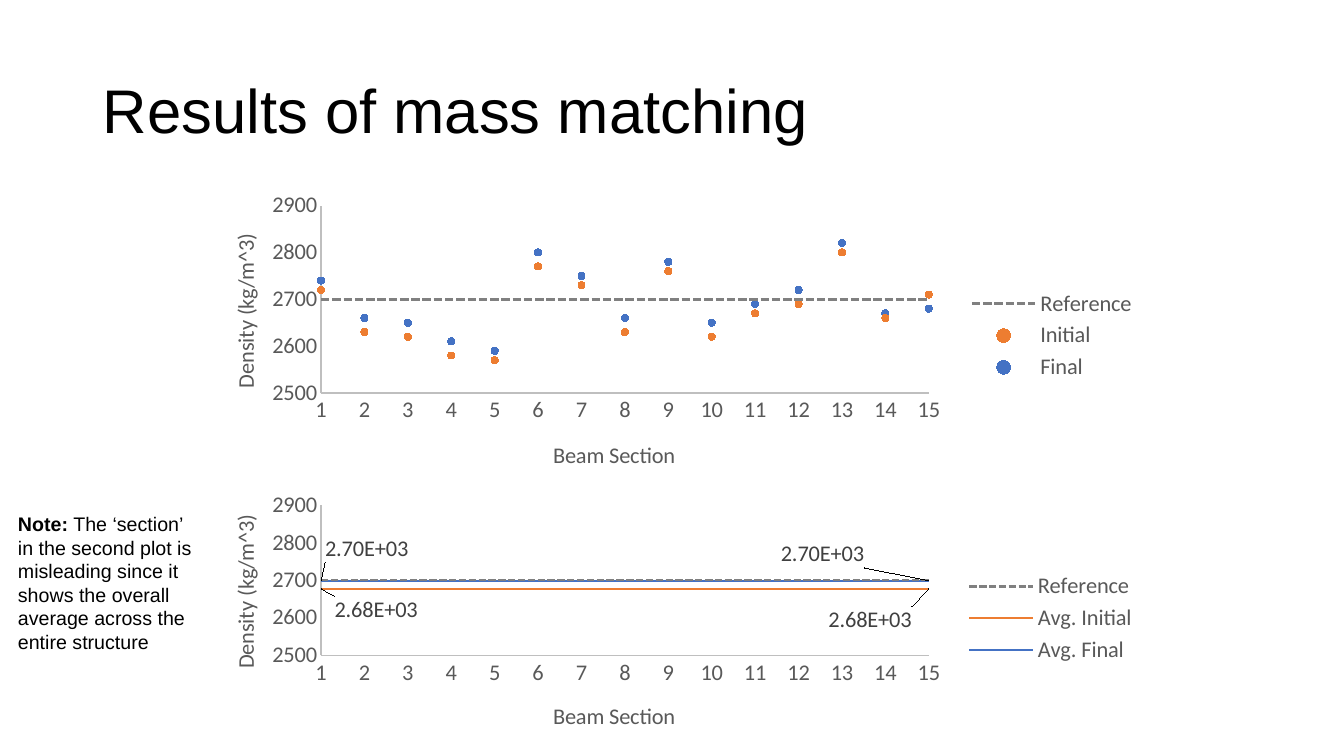
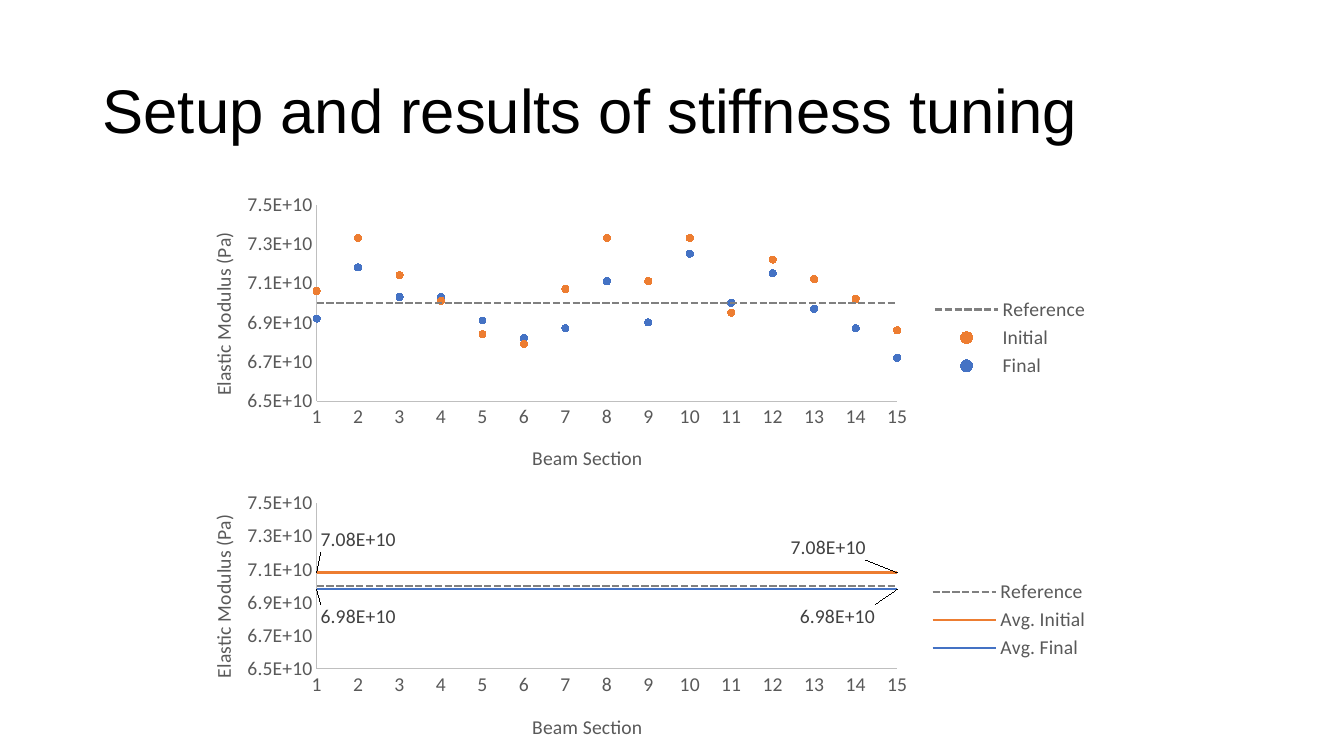
from dataclasses import dataclass

from lxml.etree import SubElement
from pptx import Presentation
from pptx.chart.data import XyChartData
from pptx.dml.color import RGBColor
from pptx.enum.chart import (
    XL_CHART_TYPE as Kind,
    XL_LABEL_POSITION as Spot,
    XL_LEGEND_POSITION as Side,
    XL_MARKER_STYLE as Mark,
    XL_TICK_MARK as Tick,
)
from pptx.enum.dml import MSO_LINE as Dash
from pptx.enum.text import MSO_ANCHOR as Anchor
from pptx.oxml.ns import qn
from pptx.util import Inches, Pt

BLACK, DARK, TEXT = "000000", "404040", "595959"
GREY, PALE = "808080", "BFBFBF"
ORANGE, BLUE = "ED7D31", "4472C4"
BEAM = range(1, 16)


@dataclass
class Scale:
    """Value axis and type size shared by the charts of one slide."""
    title: str
    form: str
    unit: int
    low: int
    high: int
    step: int
    ref: int
    size: int


@dataclass
class Frame:
    """Chart box in inches; plot and axis titles as fractions of it."""
    box: tuple
    plot: tuple
    x_title: tuple
    y_title: tuple


def color(code):
    return RGBColor.from_string(code)


def style(font, name, size, code):
    font.name, font.size = name, Pt(size)
    font.color.rgb = color(code)


# Text
def add_text(slide, box, runs, size, anchor=Anchor.TOP, space=None):
    frame = slide.shapes.add_textbox(*map(Inches, box)).text_frame
    frame.word_wrap = True
    frame.vertical_anchor = anchor
    para = frame.paragraphs[0]
    para.line_spacing = space
    for text, bold in runs:
        run = para.add_run()
        run.text = text
        run.font.bold = bold
    style(para.font, "Arial", size, BLACK)


def add_slide(deck, title):
    slide = deck.slides.add_slide(deck.slide_layouts[6])
    add_text(slide, (0.92, 0.4, 11.5, 1.45), [(title, False)], 44,
             Anchor.MIDDLE, 0.9)
    return slide


# Chart parts
def place(parent, index, **parts):
    """Give a chart part a manual layout."""
    layout = parent.find(qn("c:layout"))
    if layout is None:
        layout = parent.makeelement(qn("c:layout"), {})
        parent.insert(index, layout)
    manual = SubElement(layout, qn("c:manualLayout"))
    for tag, val in parts.items():
        SubElement(manual, qn("c:" + tag)).set("val", str(val))


def set_axis(axis, title, spot, size, low, high, step, turn=0):
    axis.minimum_scale, axis.maximum_scale = low, high
    axis.major_unit = step
    axis.has_major_gridlines = False
    axis.major_tick_mark = axis.minor_tick_mark = Tick.NONE
    axis.format.line.color.rgb = color(PALE)
    axis.format.line.width = Pt(0.75)
    style(axis.tick_labels.font, "Calibri", size, TEXT)
    frame = axis.axis_title.text_frame
    frame.text = title
    font = frame.paragraphs[0].font
    style(font, "Calibri", size, TEXT)
    font.bold = False
    frame._txBody.bodyPr.set("rot", str(turn * 60000))
    place(axis.axis_title._element, 1, xMode="edge", yMode="edge",
          x=spot[0], y=spot[1])


def set_line(series, code, width, dash=None):
    line = series.format.line
    line.color.rgb = color(code)
    line.width = Pt(width)
    if dash:
        line.dash_style = dash
    series.marker.style = Mark.NONE


def set_dots(series, code):
    series.format.line.fill.background()
    mark = series.marker
    mark.style, mark.size = Mark.CIRCLE, 5
    for fill in (mark.format.fill, mark.format.line.fill):
        fill.solid()
        fill.fore_color.rgb = color(code)


def set_labels(series, shifts, size):
    """Label each point, moved from its usual place by a shift."""
    for i, (x, y) in enumerate(shifts):
        label = series.points[i].data_label
        style(label.font, "Calibri", size, DARK)
        label.position = Spot.RIGHT
    for node, (x, y) in zip(series._element.iter(qn("c:dLbl")), shifts):
        place(node, 1, x=x, y=y)
        form = node.makeelement(
            qn("c:numFmt"), {"formatCode": "0.00E+00", "sourceLinked": "0"})
        node.insert(2, form)


# Charts
def add_plot(slide, scale, frame, rows, width):
    """Draw the reference line and the given rows of (name, xs, values)."""
    data = XyChartData()
    ref = ("Reference", BEAM, [scale.ref] * len(BEAM))
    for name, xs, vals in [ref, *rows]:
        series = data.add_series(name)
        for x, val in zip(xs, vals):
            series.add_data_point(x, val * scale.unit)
    chart = slide.shapes.add_chart(
        Kind.XY_SCATTER_LINES_NO_MARKERS, *map(Inches, frame.box), data).chart
    style(chart.font, "Calibri", scale.size, TEXT)
    chart.has_title = False
    chart.has_legend = True
    chart.legend.position = Side.RIGHT
    chart.legend.include_in_layout = False
    style(chart.legend.font, "Calibri", scale.size, TEXT)
    set_axis(chart.category_axis, "Beam Section", frame.x_title, scale.size,
             1, 15, 1)
    low, high, step = (n * scale.unit
                       for n in (scale.low, scale.high, scale.step))
    set_axis(chart.value_axis, scale.title, frame.y_title, scale.size,
             low, high, step, -90)
    labels = chart.value_axis.tick_labels
    labels.number_format, labels.number_format_is_linked = scale.form, False
    x, y, w, h = frame.plot
    place(chart._chartSpace.chart.plotArea, 0, layoutTarget="inner",
          xMode="edge", yMode="edge", x=x, y=y, w=w, h=h)
    plot = chart.plots[0]
    plot.vary_by_categories = False
    for series in plot.series:
        series.smooth = False
    set_line(plot.series[0], GREY, width, Dash.SQUARE_DOT)
    return list(plot.series)[1:]


def add_dots(slide, scale, frame, first, last, width=1.75):
    rows = [("Initial", BEAM, first), ("Final", BEAM, last)]
    pair = add_plot(slide, scale, frame, rows, width)
    for series, code in zip(pair, (ORANGE, BLUE)):
        set_dots(series, code)


def add_means(slide, scale, frame, means, shifts):
    ends = (BEAM[0], BEAM[-1])
    rows = [(name, ends, [mean] * 2)
            for name, mean in zip(("Avg. Initial", "Avg. Final"), means)]
    pair = add_plot(slide, scale, frame, rows, 1.75)
    for series, code, shift in zip(pair, (ORANGE, BLUE), shifts):
        set_line(series, code, 1.5)
        set_labels(series, shift, scale.size)


# Slides
def add_mass(deck):
    slide = add_slide(deck, "Results of mass matching")
    scale = Scale("Density (kg/m^3)", "0", 10, 250, 290, 10, 270, 16)
    top = Frame((1.96, 1.83, 9.42, 3), (0.13, 0.07, 0.64, 0.62),
                (0.37, 0.83), (0.03, 0.15))
    low = Frame((1.96, 4.83, 9.42, 2.61), (0.13, 0.07, 0.64, 0.57),
                (0.37, 0.8), (0.03, 0.09))
    add_dots(slide, scale, top,
             [272, 263, 262, 258, 257, 277, 273, 263,
              276, 262, 267, 269, 280, 266, 271],
             [274, 266, 265, 261, 259, 280, 275, 266,
              278, 265, 269, 272, 282, 267, 268], 2)
    add_means(slide, scale, low, (267.7, 269.9),
              [[(0.01, 0.08), (-0.11, 0.12)], [(0, -0.12), (-0.16, -0.1)]])
    add_text(slide, (0.08, 5.03, 1.96, 1.52), [
        ("Note:", True),
        (" The ‘section’ in the second plot is misleading since it shows "
         "the overall average across the entire structure", False)], 14)


def add_stiff(deck):
    slide = add_slide(deck, "Setup and results of stiffness tuning")
    scale = Scale("Elastic Modulus (Pa)", "0.0E+00", 10**8,
                  650, 750, 20, 700, 14)
    top = Frame((1.77, 1.85, 9.14, 3), (0.15, 0.06, 0.63, 0.65),
                (0.38, 0.84), (0.03, 0.14))
    low = Frame((1.77, 4.8, 9.14, 2.7), (0.15, 0.07, 0.63, 0.61),
                (0.38, 0.83), (0.03, 0.1))
    add_dots(slide, scale, top,
             [706, 733, 714, 701, 684, 679, 707, 733,
              711, 733, 695, 722, 712, 702, 686],
             [692, 718, 703, 703, 691, 682, 687, 711,
              690, 725, 700, 715, 697, 687, 672])
    add_means(slide, scale, low, (708, 698),
              [[(0, -0.12), (-0.12, -0.09)], [(0, 0.1), (-0.11, 0.1)]])


def main():
    deck = Presentation()
    deck.slide_width, deck.slide_height = Inches(13.33), Inches(7.5)
    add_mass(deck)
    add_stiff(deck)
    deck.save("out.pptx")


if __name__ == "__main__":
    main()
